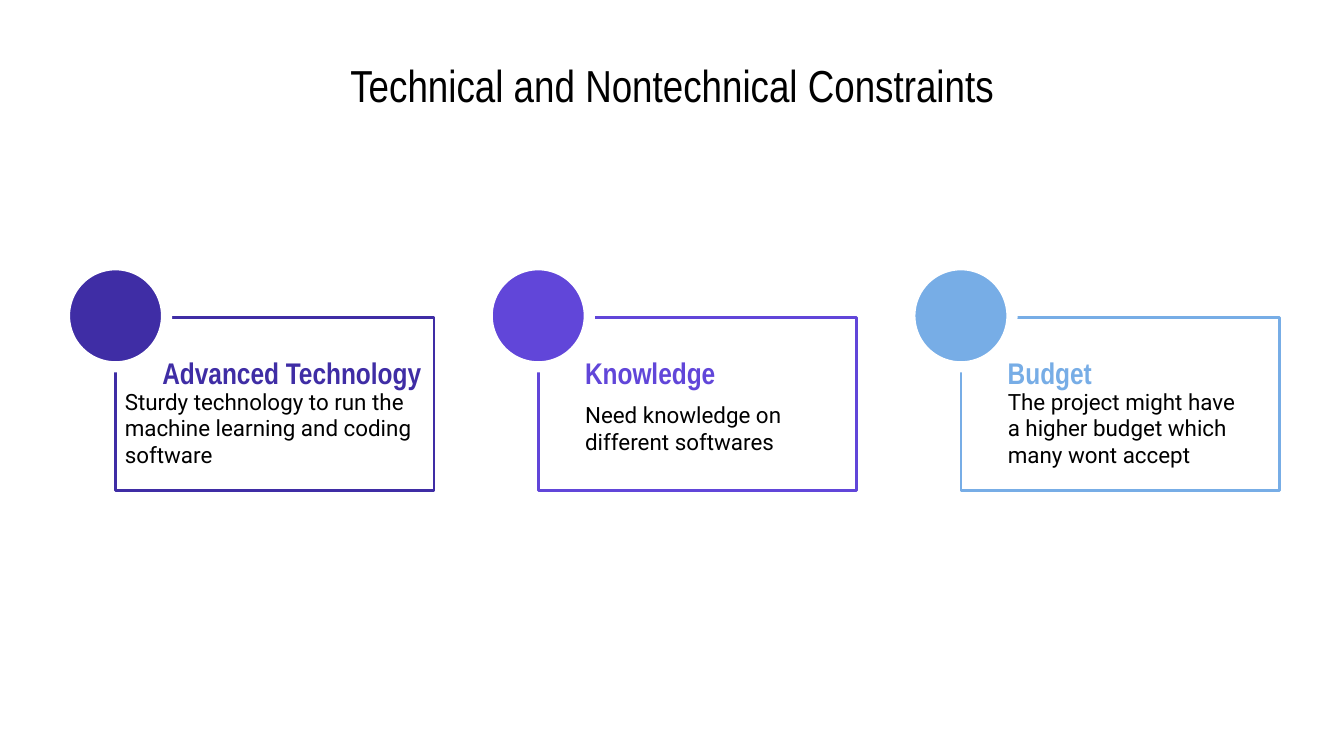
from pptx import Presentation
from pptx.dml.color import RGBColor
from pptx.enum.shapes import MSO_SHAPE as Shape
from pptx.enum.text import MSO_ANCHOR as Anchor, MSO_AUTO_SIZE as AutoSize, PP_ALIGN as Align
from pptx.util import Inches, Pt


def color(value):
    return RGBColor.from_string(value)


def write(box, text, font="Roboto", size=12, fill="000000", bold=False, align=Align.LEFT):
    frame = box.text_frame
    frame.word_wrap = True
    frame.auto_size = AutoSize.NONE
    frame.vertical_anchor = Anchor.MIDDLE
    frame.margin_left = frame.margin_right = Inches(0.1)
    frame.margin_top = frame.margin_bottom = Inches(0.1)
    para = frame.paragraphs[0]
    para.alignment = align
    span = para.add_run()
    span.text = text
    span.font.name = font
    span.font.size = Pt(size)
    span.font.bold = bold
    span.font.color.rgb = color(fill)


deck = Presentation()
deck.slide_width = Inches(10)
deck.slide_height = Inches(10 * 9 / 16)
page = deck.slides.add_slide(deck.slide_layouts[5])

title = page.shapes.title
title.left, title.top = Inches(0.5), Inches(0.45)
title.width, title.height = Inches(9), Inches(0.36)
write(title, "Technical and Nontechnical Constraints",
      font="Arial Narrow", size=24, align=Align.CENTER)

first_left = 0.86
pitch = 6.29 / 2
cards = [
    ("Advanced Technology", "Sturdy technology to run the machine learning and coding software",
     "3F2DA5", 2.21, -0.03, 2.49),
    ("Knowledge", "Need knowledge on different softwares",
     "6146D9", 1.57, 0.25, 1.91),
    ("Budget", "The project might have a higher budget which many wont accept",
     "77ADE6", 1.57, 0.25, 1.91),
]

for index, (heading, body, accent, heading_width, body_offset, body_width) in enumerate(cards):
    left = first_left + index * pitch
    group = page.shapes.add_group_shape()

    frame = group.shapes.add_shape(
        Shape.RECTANGLE, Inches(left), Inches(2.36), Inches(2.37), Inches(1.29))
    frame.shadow.inherit = False
    frame.fill.background()
    frame.line.color.rgb = color(accent)
    frame.line.width = Pt(1.5)

    circle = group.shapes.add_shape(
        Shape.OVAL, Inches(left - 0.38), Inches(1.97), Inches(0.76), Inches(0.76))
    circle.shadow.inherit = False
    circle.fill.solid()
    circle.fill.fore_color.rgb = color(accent)
    circle.line.color.rgb = color("FFFFFF")
    circle.line.width = Pt(6)

    heading_box = page.shapes.add_textbox(
        Inches(left + 0.25), Inches(2.65), Inches(heading_width), Inches(0.25))
    write(heading_box, heading, font="Arial Narrow", size=16, fill=accent, bold=True)

    body_box = page.shapes.add_textbox(
        Inches(left + body_offset), Inches(2.9), Inches(body_width), Inches(0.57))
    write(body_box, body)

deck.save("out.pptx")
